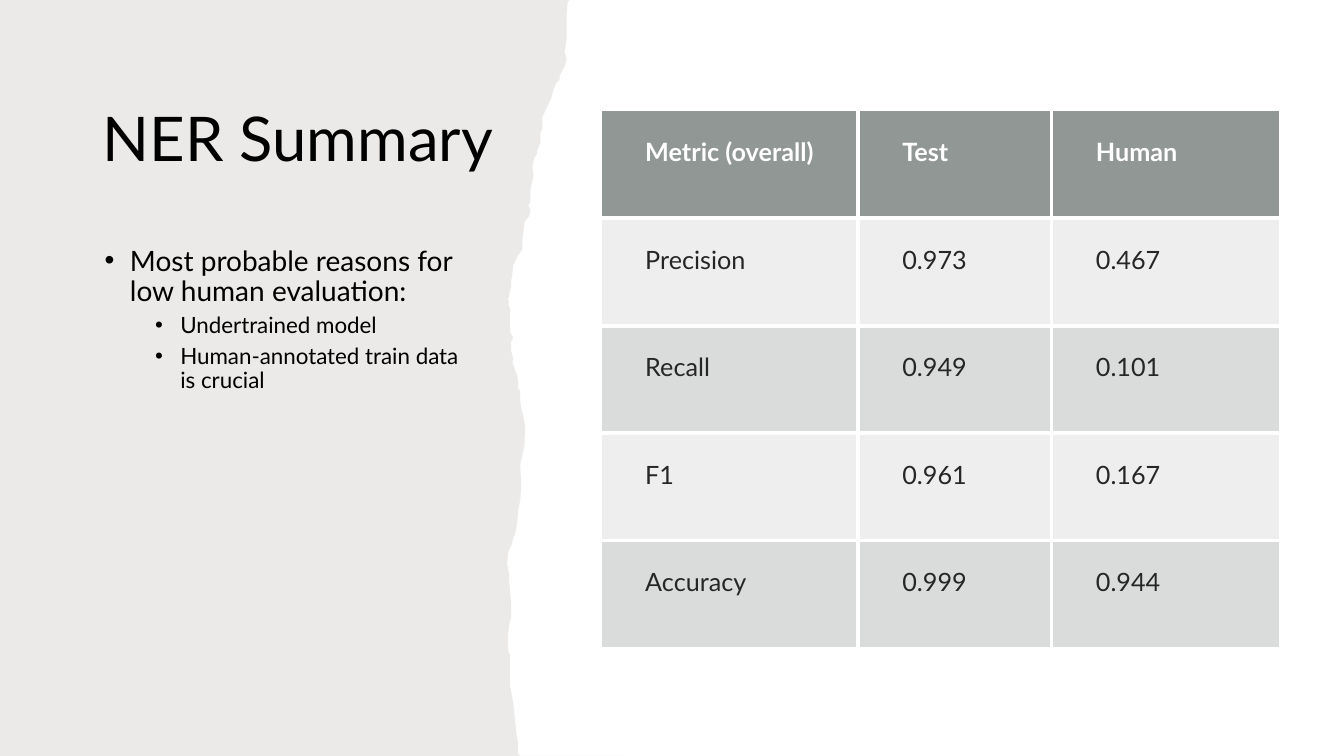
from lxml import etree
from pptx import Presentation
from pptx.dml.color import RGBColor
from pptx.enum.text import MSO_ANCHOR
from pptx.oxml.ns import qn
from pptx.util import Inches, Pt

MIDDLE, TOP = MSO_ANCHOR.MIDDLE, MSO_ANCHOR.TOP
FONT = "Lato"
BLACK, WHITE, DARK = "000000", "FFFFFF", "262626"
PAPER, HEAD, BAND = "82766A", "636B68", "878E8B"

# Torn edge from top to bottom, in hundredths of an inch
EDGE = [
    (565, 0), (563, 2), (562, 14), (562, 39), (560, 52), (562, 58),
    (561, 64), (560, 66), (555, 75), (555, 79), (552, 82), (549, 89),
    (547, 97), (538, 116), (538, 127), (536, 132), (536, 142), (533, 149),
    (532, 154), (530, 156), (529, 160), (528, 166), (529, 173), (528, 180),
    (526, 188), (526, 200), (524, 204), (526, 208), (525, 214), (520, 221),
    (519, 231), (518, 240), (518, 247), (513, 255), (509, 263), (508, 273),
    (507, 279), (507, 284), (506, 288), (504, 297), (505, 300), (504, 302),
    (506, 307), (506, 318), (506, 326), (506, 330), (509, 335), (507, 339),
    (507, 348), (509, 356), (508, 359), (510, 364), (511, 368), (513, 373),
    (514, 380), (514, 386), (516, 388), (516, 398), (517, 405), (519, 413),
    (521, 424), (520, 443), (516, 461), (517, 482), (516, 496), (514, 506),
    (513, 518), (511, 530), (509, 533), (508, 539), (504, 548), (503, 559),
    (505, 570), (505, 576), (507, 598), (507, 612), (505, 620), (504, 631),
    (504, 646), (506, 650), (506, 653), (506, 666), (506, 681), (509, 697),
    (511, 715), (512, 726), (513, 733), (514, 739), (514, 748), (516, 750),
]
REASONS = [
    (0, "Most probable reasons for low human evaluation:"),
    (1, "Undertrained model"),
    (1, "Human-annotated train data is crucial"),
]
SCORES = [
    ("Metric (overall)", "Test", "Human"),
    ("Precision", "0.973", "0.467"),
    ("Recall", "0.949", "0.101"),
    ("F1", "0.961", "0.167"),
    ("Accuracy", "0.999", "0.944"),
]
WIDTHS = (2.55, 1.92, 2.26)


def rgb(code):
    return RGBColor.from_string(code)


def tint(fill, owner, color, alpha):
    """Fill with a colour that is alpha percent opaque."""
    fill.solid()
    fill.fore_color.rgb = rgb(color)
    node = owner.find(qn("a:solidFill"))[0]
    etree.SubElement(node, qn("a:alpha")).set("val", str(alpha * 1000))


class Page:
    def __init__(self, deck, font):
        self.slide = deck.slides.add_slide(deck.slide_layouts[6])
        self.font = font

    def run(self, para, text, size, color, bold=False):
        run = para.add_run()
        run.text = text
        font = run.font
        font.name, font.size, font.bold = self.font, Pt(size), bold
        font.color.rgb = rgb(color)

    def frame(self, left, top, width, height, anchor):
        box = self.slide.shapes.add_textbox(
            Inches(left), Inches(top), Inches(width), Inches(height))
        frame = box.text_frame
        frame.word_wrap = True
        frame.vertical_anchor = anchor
        return frame

    def title(self, text, *area):
        para = self.frame(*area, MIDDLE).paragraphs[0]
        para.line_spacing = 0.9
        self.run(para, text, 44, BLACK)

    def bullets(self, items, *area):
        frame = self.frame(*area, TOP)
        for i, (level, text) in enumerate(items):
            para = frame.add_paragraph() if i else frame.paragraphs[0]
            para.level = level
            para.line_spacing = 0.9
            para.space_before = Pt(5 if i else 0)
            props = para._p.get_or_add_pPr()
            props.set("marL", str(Inches(0.25 + 0.5 * level)))
            props.set("indent", str(Inches(-0.25)))
            etree.SubElement(props, qn("a:buFont")).set("typeface", "Arial")
            etree.SubElement(props, qn("a:buChar")).set("char", "•")
            self.run(para, text, 16 if level else 20, BLACK)

    def paper(self, edge):
        outline = self.slide.shapes.build_freeform(0, 0, scale=Inches(0.01))
        outline.add_line_segments(edge + [(618, 750), (0, 750)], close=True)
        shape = outline.convert_to_shape()
        shape.shadow.inherit = False
        shape.line.fill.background()
        tint(shape.fill, shape._element.spPr, PAPER, 15)

    def border(self, props, side):
        line = etree.SubElement(props, qn("a:ln" + side), w=str(Pt(3)))
        solid = etree.SubElement(line, qn("a:solidFill"))
        etree.SubElement(solid, qn("a:srgbClr"), val=WHITE)

    def cell(self, cell, text, head, alpha, sides):
        cell.margin_left = Inches(0.44)
        cell.margin_right = cell.margin_top = cell.margin_bottom = Inches(0.26)
        props = cell._tc.get_or_add_tcPr()
        for side in sides:
            self.border(props, side)
        tint(cell.fill, props, HEAD if head else BAND, alpha)
        para = cell.text_frame.paragraphs[0]
        self.run(para, text, 18, WHITE if head else DARK, head)

    def table(self, rows, widths, left, top, height):
        """Draw a banded table with white lines between its cells."""
        table = self.slide.shapes.add_table(
            len(rows), len(widths), Inches(left), Inches(top),
            Inches(sum(widths)), Inches(height)).table
        for col, width in zip(table.columns, widths):
            col.width = Inches(width)
        last, end = len(rows) - 1, len(widths) - 1
        for r, row in enumerate(rows):
            alpha = (30 if r % 2 == 0 else 15) if r else 70
            for c, text in enumerate(row):
                inner = {"L": c > 0, "R": c < end, "T": r > 0, "B": r < last}
                sides = [side for side, shown in inner.items() if shown]
                self.cell(table.cell(r, c), text, r == 0, alpha, sides)


def main():
    deck = Presentation()
    deck.slide_width, deck.slide_height = Inches(13.33), Inches(7.5)
    page = Page(deck, FONT)
    page.paper(EDGE)
    page.title("NER Summary", 0.92, 0.67, 4.09, 1.46)
    page.bullets(REASONS, 0.94, 2.4, 3.75, 4.27)
    page.table(SCORES, WIDTHS, 5.96, 1.1, 5.33)
    deck.save("out.pptx")


if __name__ == "__main__":
    main()
